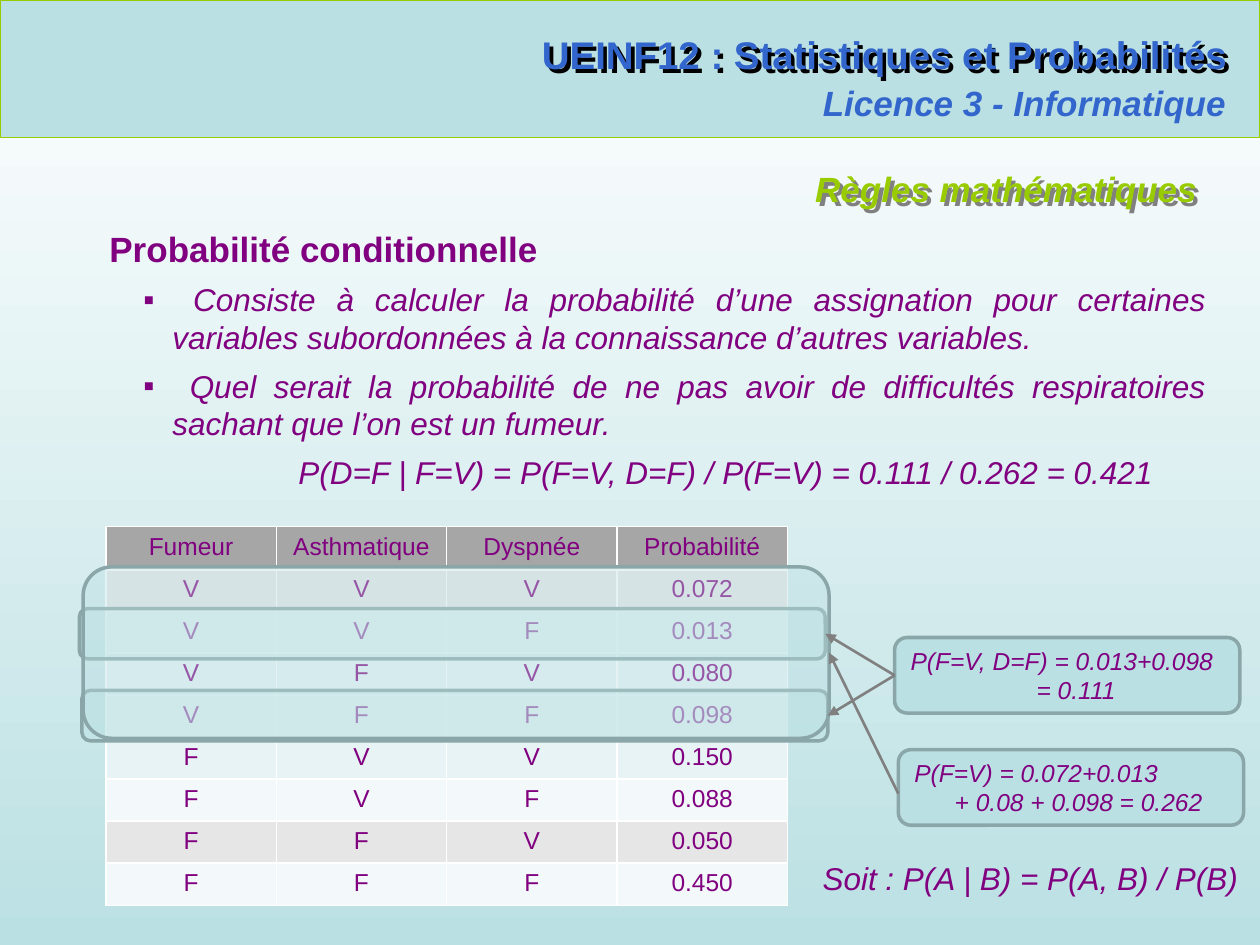
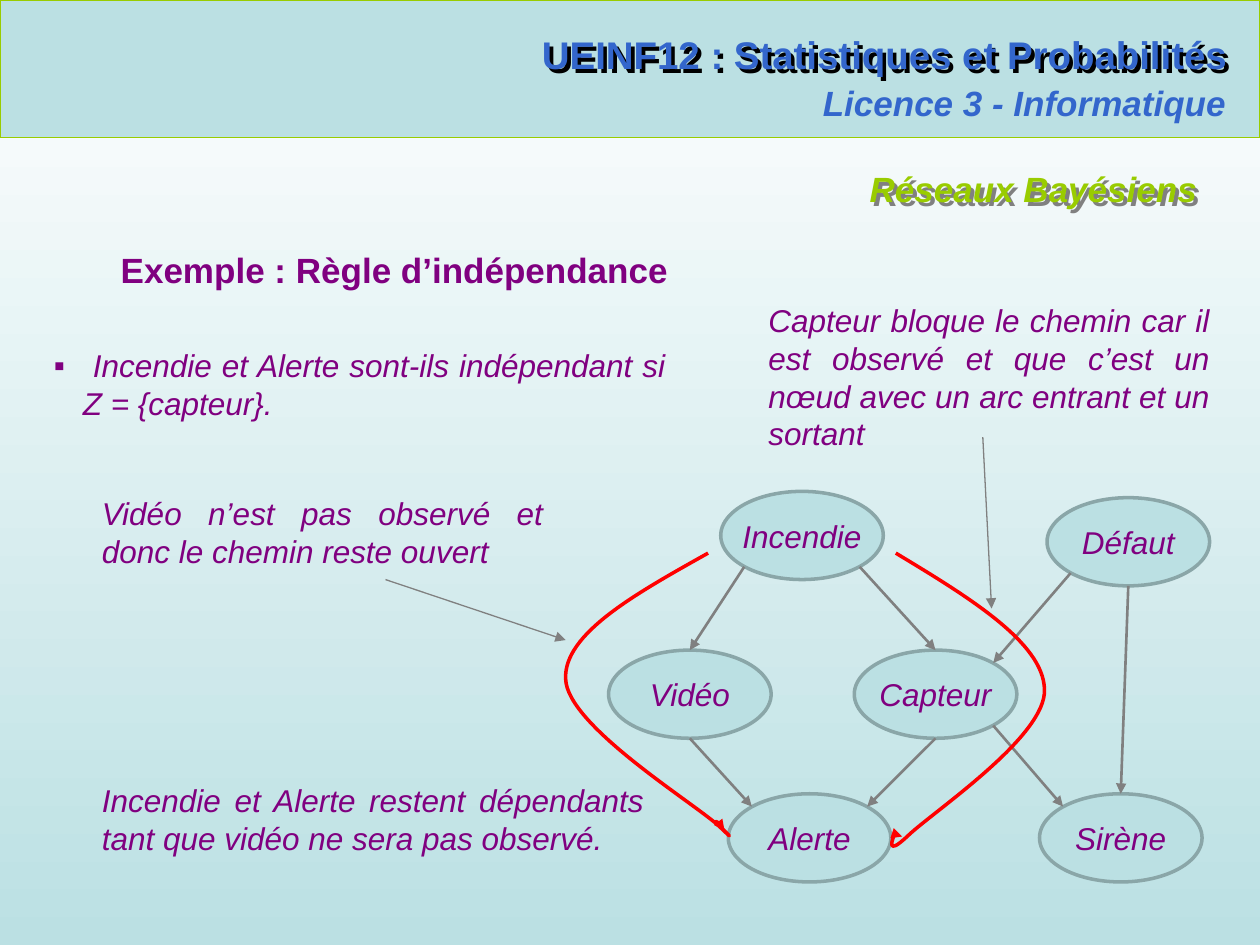
import lxml.etree
import pptx
import pptx.dml.color
import pptx.enum.shapes
import pptx.enum.text
import pptx.oxml.ns
import pptx.util

Inches = pptx.util.Inches
Pt = pptx.util.Pt
SHAPE = pptx.enum.shapes.MSO_SHAPE
ALIGN = pptx.enum.text.PP_ALIGN
ANCHOR = pptx.enum.text.MSO_ANCHOR

AQUA, LIME, BLUE, PLUM = "BBE0E3", "99CC00", "3366CC", "800080"
EDGE, GREY, RED, WHITE, BLACK = "8AA6A8", "808080", "FF0000", "FFFFFF", "000000"

# size, colour, bold, italic, alignment, space after
COURSE = (22, BLUE, True, False, ALIGN.RIGHT, 0)
YEAR = (20, BLUE, True, True, ALIGN.RIGHT, 0)
TOPIC = (20, LIME, True, True, ALIGN.RIGHT, 0)
HEAD = (20, PLUM, True, False, ALIGN.JUSTIFY, 6)
BODY = (18, PLUM, False, True, ALIGN.JUSTIFY, 6)
NODE = (18, PLUM, False, True, ALIGN.CENTER, 0)
NOTE = (14, PLUM, False, True, ALIGN.LEFT, 0)
CELL = (14, PLUM, False, False, ALIGN.CENTER, 0)

# text, style, left margin, bullet
RULES = [
    ("Probabilité conditionnelle", HEAD, 0, False),
    (" Consiste à calculer la probabilité d’une assignation pour certaines "
     "variables subordonnées à la connaissance d’autres variables.", BODY, 0.5, True),
    (" Quel serait la probabilité de ne pas avoir de difficultés respiratoires "
     "sachant que l’on est un fumeur.", BODY, 0.5, True),
    ("P(D=F | F=V) = P(F=V, D=F) / P(F=V) = 0.111 / 0.262 = 0.421", BODY, 1.5, False),
]
SUMMARY = [("Soit : P(A | B) = P(A, B) / P(B)", BODY, 0, False)]
JOINT = [("P(F=V, D=F) = 0.013+0.098", NOTE, 0, False), ("= 0.111", NOTE, 1, False)]
SMOKER = [("P(F=V) = 0.072+0.013", NOTE, 0, False),
          ("+ 0.08 + 0.098 = 0.262", NOTE, 0.32, False)]

TABLE = [
    ("Fumeur", "Asthmatique", "Dyspnée", "Probabilité"),
    ("V", "V", "V", "0.072"),
    ("V", "V", "F", "0.013"),
    ("V", "F", "V", "0.080"),
    ("V", "F", "F", "0.098"),
    ("F", "V", "V", "0.150"),
    ("F", "V", "F", "0.088"),
    ("F", "F", "V", "0.050"),
    ("F", "F", "F", "0.450"),
]
FILLS = {0: "A6A6A6", 1: "E6E6E6", 3: "E7F3F4", 5: "E7F3F4", 7: "E6E6E6"}
EVEN = "F3F9FA"

REMARKS = [
    ((0.86, 1.92, 8.9, 0.44), ("Exemple : Règle d’indépendance", HEAD, 0, False)),
    ((0.06, 2.7, 5.32, 0.71),
     (" Incendie et Alerte sont-ils indépendant si Z = {capteur}.", BODY, 0.5, True)),
    ((0.21, 6.15, 5, 0.71),
     ("Incendie et Alerte restent dépendants tant que vidéo ne sera pas observé.",
      BODY, 0.5, False)),
    ((5.5, 2.34, 4.2, 1.31),
     ("Capteur bloque le chemin car il est observé et que c’est un nœud avec "
      "un arc entrant et un sortant", BODY, 0.5, False)),
    ((0.21, 3.87, 4.2, 0.71),
     ("Vidéo n’est pas observé et donc le chemin reste ouvert", BODY, 0.5, False)),
]
NODES = {
    "Incendie": (5.72, 3.9), "Défaut": (8.31, 3.95), "Capteur": (6.78, 5.16),
    "Vidéo": (4.83, 5.16), "Sirène": (8.25, 6.3), "Alerte": (5.78, 6.3),
}
NODE_W, NODE_H = 1.29, 0.7
DIAG = 0.71
SITES = {"top": (0, -1), "bottom": (0, 1), "nw": (-DIAG, -DIAG), "ne": (DIAG, -DIAG),
         "sw": (-DIAG, DIAG), "se": (DIAG, DIAG)}
ARCS = [
    ("Défaut", "sw", "Capteur", "ne"), ("Incendie", "sw", "Vidéo", "top"),
    ("Incendie", "se", "Capteur", "top"), ("Défaut", "bottom", "Sirène", "top"),
    ("Capteur", "se", "Sirène", "nw"), ("Vidéo", "bottom", "Alerte", "nw"),
    ("Capteur", "bottom", "Alerte", "ne"),
]
POINTERS = [((7.8, 3.47), (7.87, 4.83)), ((3.06, 4.6), (4.49, 5.08))]
# start point, then two handles and an end for each Bézier piece
PATHS = [
    [(7.11, 4.39),
     (7.69, 4.74), (8.28, 5.1), (8.29, 5.47),
     (8.31, 5.84), (7.41, 6.44), (7.21, 6.63),
     (7.01, 6.82), (7.11, 6.61), (7.1, 6.61),
     (7.09, 6.61), (7.12, 6.63), (7.16, 6.64)],
    [(5.62, 4.39),
     (5.05, 4.71), (4.47, 5.03), (4.49, 5.39),
     (4.5, 5.76), (5.52, 6.38), (5.71, 6.56),
     (5.91, 6.75), (5.67, 6.52), (5.68, 6.52),
     (5.69, 6.52), (5.75, 6.57), (5.76, 6.58),
     (5.77, 6.59), (5.76, 6.59), (5.75, 6.59)],
]


def color(code):
    return pptx.dml.color.RGBColor.from_string(code)


def child(parent, tag, **attrs):
    """Append an XML element such as a:tailEnd."""
    return lxml.etree.SubElement(parent, pptx.oxml.ns.qn(tag), attrs)


def tint(parent, code):
    return child(child(parent, "a:solidFill"), "a:srgbClr", val=code)


def style(para, look):
    size, code, bold, slant, align, after = look
    para.alignment = align
    para.space_after = Pt(after)
    for run in para.runs:
        font = run.font
        font.name, font.size = "Arial", Pt(size)
        font.bold, font.italic = bold, slant
        font.color.rgb = color(code)


def write(frame, paras):
    frame.word_wrap = True
    for i, (text, look, margin, bullet) in enumerate(paras):
        para = frame.add_paragraph() if i else frame.paragraphs[0]
        para.text = text
        props = para._p.get_or_add_pPr()
        props.set("marL", str(Inches(margin)))
        props.set("indent", str(Inches(-0.23 if bullet else 0)))
        if bullet:
            child(props, "a:buFont", typeface="Arial")
            child(props, "a:buChar", char="▪")
        style(para, look)


def label(slide, spot, paras, shade=None):
    """Add a text box, with a cast shadow if a shade is given."""
    box = slide.shapes.add_textbox(*map(Inches, spot))
    write(box.text_frame, paras)
    if shade:
        box.shadow.inherit = False
        effects = box._element.spPr.find(pptx.oxml.ns.qn("a:effectLst"))
        cast = child(effects, "a:outerShdw", dist=str(Inches(0.04)), dir="2700000",
                     algn="ctr", rotWithShape="0")
        child(cast, "a:srgbClr", val=shade)


def block(slide, kind, spot, edge=EDGE, width=2, alpha=None):
    shape = slide.shapes.add_shape(kind, *map(Inches, spot))
    shape.shadow.inherit = False
    shape.fill.solid()
    shape.fill.fore_color.rgb = color(AQUA)
    if alpha:
        paint = shape._element.spPr.find(".//" + pptx.oxml.ns.qn("a:srgbClr"))
        child(paint, "a:alpha", val=str(alpha * 1000))
    shape.line.color.rgb = color(edge)
    shape.line.width = Pt(width)
    return shape


def stroke(shape, code, width, arrow=True):
    shape.line.color.rgb = color(code)
    shape.line.width = Pt(width)
    if arrow:
        child(shape.line._get_or_add_ln(), "a:tailEnd", type="triangle")


def link(slide, start, end, code=GREY, width=1.5, arrow=True):
    line = slide.shapes.add_connector(
        pptx.enum.shapes.MSO_CONNECTOR.STRAIGHT, *map(Inches, start + end))
    stroke(line, code, width, arrow)
    child(line._element.spPr, "a:effectLst")
    return line


def curve(slide, points):
    """Draw the points as a polyline, then join each three into a Bézier piece."""
    start, *rest = [tuple(map(Inches, point)) for point in points]
    pen = slide.shapes.build_freeform(*start)
    pen.add_line_segments(rest, close=False)
    shape = pen.convert_to_shape()
    legs = list(shape._element.spPr.iter(pptx.oxml.ns.qn("a:lnTo")))
    outline = legs[0].getparent()
    for i in range(0, len(legs), 3):
        piece = child(outline, "a:cubicBezTo")
        for leg in legs[i:i + 3]:
            piece.append(leg[0])
            outline.remove(leg)
    shape.shadow.inherit = False
    shape.fill.background()
    stroke(shape, RED, 2)


def start_slide(deck, topic):
    slide = deck.slides.add_slide(deck.slide_layouts[6])
    back = slide.background.fill
    back.gradient()
    back.gradient_angle = 270
    for stop, code in zip(back.gradient_stops, (WHITE, AQUA)):
        stop.color.rgb = color(code)
    block(slide, SHAPE.RECTANGLE, (0, 0, 10, 1.09), LIME, 0.75)
    label(slide, (4.04, 0.2, 5.8, 0.47),
          [("UEINF12 : Statistiques et Probabilités", COURSE, 0, False)], BLACK)
    label(slide, (6.41, 0.6, 3.42, 0.44), [("Licence 3 - Informatique", YEAR, 0, False)])
    link(slide, (0.34, 1.09), (9.76, 1.09), LIME, 0.75, False)
    label(slide, (2.17, 1.28, 7.43, 0.44), [(topic, TOPIC, 0, False)], GREY)
    return slide


def add_grid(slide):
    spot = (0.84, 4.18, 5.41, 3)
    grid = slide.shapes.add_table(len(TABLE), len(TABLE[0]), *map(Inches, spot)).table
    for col in grid.columns:
        col.width = Inches(spot[2] / len(TABLE[0]))
    for i, values in enumerate(TABLE):
        grid.rows[i].height = Inches(spot[3] / len(TABLE))
        for j, value in enumerate(values):
            cell = grid.cell(i, j)
            props = cell._tc.get_or_add_tcPr()
            for side in "LRTB":
                thick = 3 if (i, side) in ((0, "B"), (1, "T")) else 1
                tint(child(props, "a:ln" + side, w=str(Pt(thick))), WHITE)
            cell.fill.solid()
            cell.fill.fore_color.rgb = color(FILLS.get(i, EVEN))
            cell.text_frame.text = value
            style(cell.text_frame.paragraphs[0], CELL)


def rules_slide(deck):
    slide = start_slide(deck, "Règles mathématiques")
    label(slide, (0.77, 1.76, 8.9, 2.2), RULES)
    add_grid(slide)
    first, second, smokers = [
        block(slide, SHAPE.ROUNDED_RECTANGLE, spot, alpha=39)
        for spot in ((0.63, 4.83, 5.92, 0.4), (0.65, 5.48, 5.92, 0.4),
                     (0.66, 4.5, 5.92, 1.36))]
    joint, total = [block(slide, SHAPE.ROUNDED_RECTANGLE, spot)
                    for spot in ((7.1, 5.06, 2.74, 0.6), (7.13, 5.95, 2.74, 0.6))]
    for box, paras in ((joint, JOINT), (total, SMOKER)):
        box.text_frame.vertical_anchor = ANCHOR.MIDDLE
        write(box.text_frame, paras)
    for ring in (first, second):
        line = link(slide, (7.1, 5.36), (6.56, 5.36))
        line.begin_connect(joint, 1)
        line.end_connect(ring, 3)
    link(slide, (7.13, 6.3), (6.58, 5.18)).end_connect(smokers, 3)
    label(slide, (6.43, 6.77, 3.57, 0.4), SUMMARY)


def site(name, side):
    """Point on the rim of a node."""
    (x, y), (dx, dy) = NODES[name], SITES[side]
    return x + NODE_W / 2 * (1 + dx), y + NODE_H / 2 * (1 + dy)


def network_slide(deck):
    slide = start_slide(deck, "Réseaux Bayésiens")
    for name, spot in NODES.items():
        oval = block(slide, SHAPE.OVAL, spot + (NODE_W, NODE_H))
        oval.text_frame.vertical_anchor = ANCHOR.MIDDLE
        write(oval.text_frame, [(name, NODE, 0, False)])
        oval.text_frame.word_wrap = False
    for tail, out, head, into in ARCS:
        link(slide, site(tail, out), site(head, into))
    for spot, para in REMARKS:
        label(slide, spot, [para])
    for start, end in POINTERS:
        link(slide, start, end, width=0.75)
    for points in PATHS:
        curve(slide, points)


def main():
    deck = pptx.Presentation()
    deck.slide_width, deck.slide_height = Inches(10), Inches(7.5)
    rules_slide(deck)
    network_slide(deck)
    deck.save("out.pptx")


if __name__ == "__main__":
    main()
